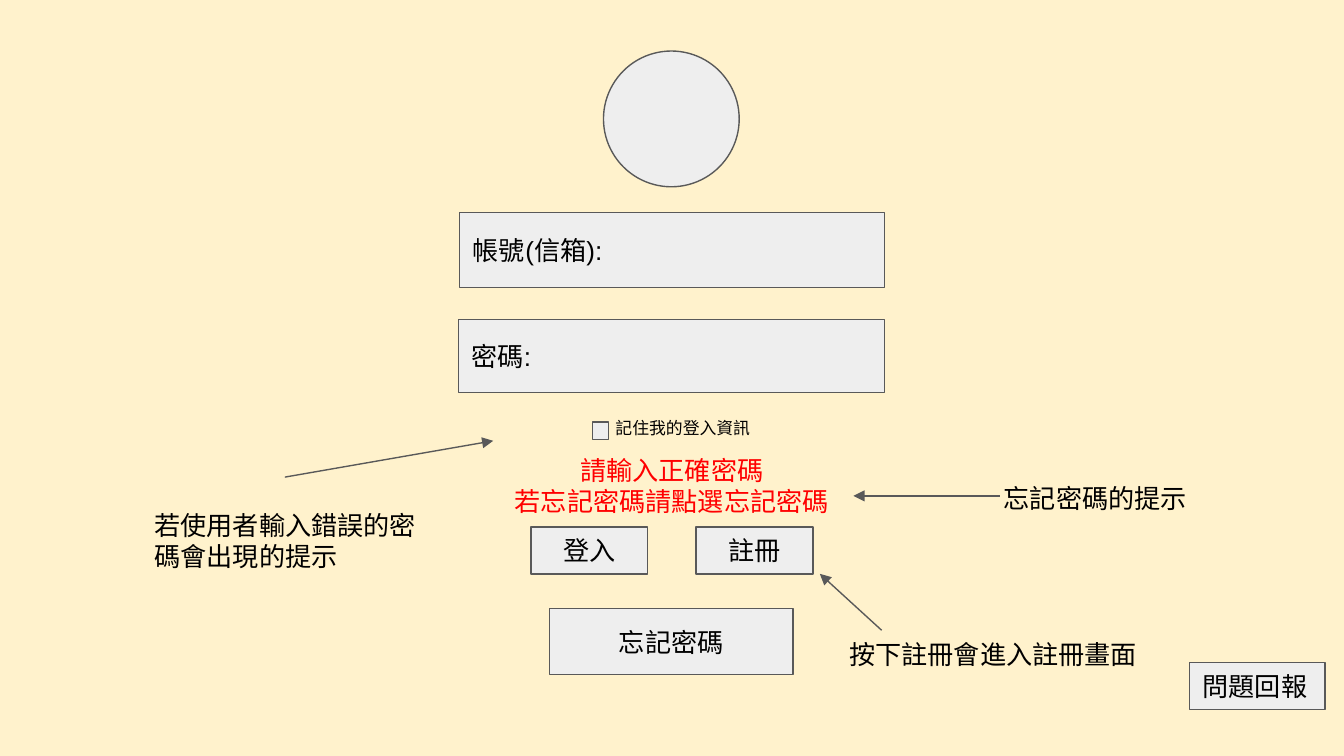
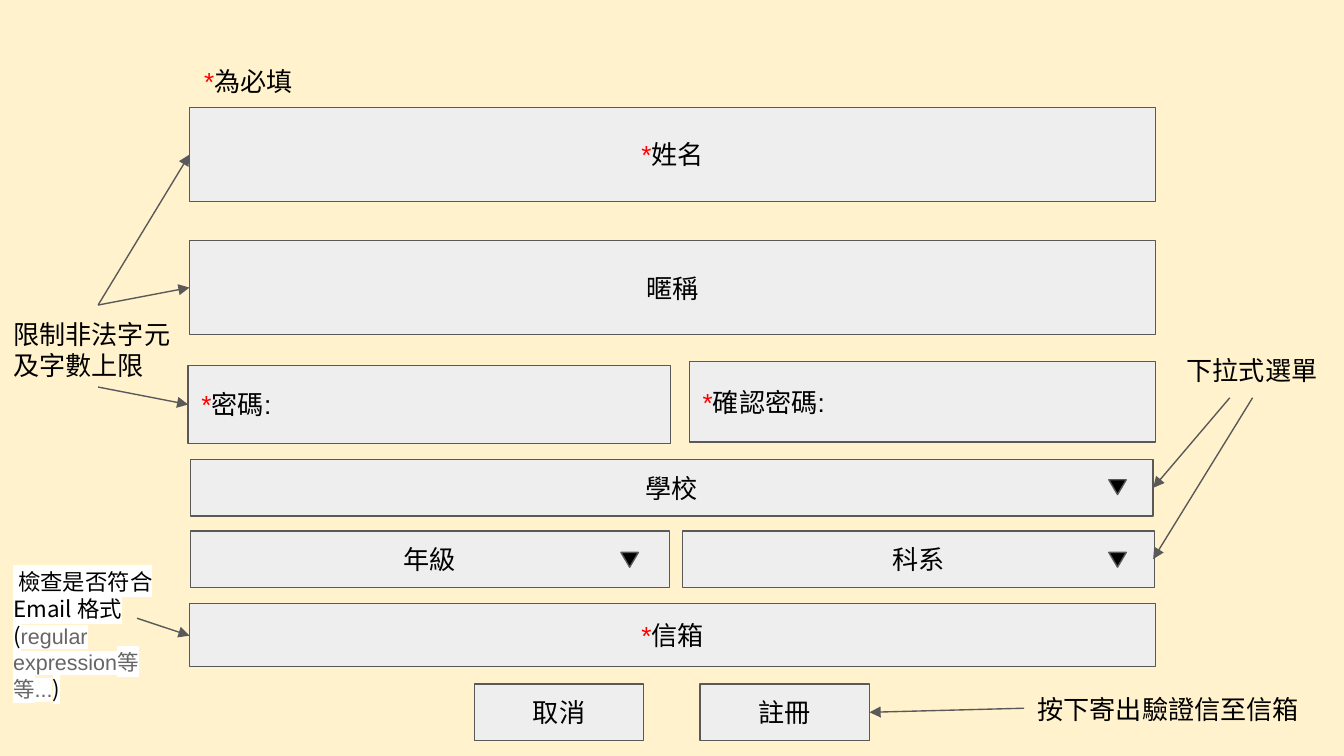
"""Build two wireframe slides: a login screen and a sign-up form."""
from typing import NamedTuple

from lxml.etree import SubElement
from pptx import Presentation
from pptx.dml.color import RGBColor
from pptx.enum.shapes import MSO_CONNECTOR as Link, MSO_SHAPE as Kind
from pptx.enum.text import MSO_ANCHOR as Anchor, PP_ALIGN as Align
from pptx.oxml.ns import qn
from pptx.util import Inches, Pt

CREAM = RGBColor(0xFF, 0xF2, 0xCC)
PALE = RGBColor(0xEE, 0xEE, 0xEE)
GREY = RGBColor(0x59, 0x59, 0x59)
MID = RGBColor(0x66, 0x66, 0x66)
BLACK = RGBColor(0, 0, 0)
RED = RGBColor(0xFF, 0, 0)
WHITE = RGBColor(0xFF, 0xFF, 0xFF)
FACE = "Arial"
CJK = "Noto Sans CJK TC"
THIN = Pt(0.75)
PAD = Inches(0.1)
WIDE = Inches(10)
HIGH = WIDE * 9 // 16


class Box(NamedTuple):
    """A field, button or other filled shape."""
    left: float
    top: float
    width: float
    height: float
    text: str = ""
    align: Align = Align.CENTER
    kind: Kind = Kind.RECTANGLE
    fill: RGBColor = PALE
    turn: float = 0


class Note(NamedTuple):
    """A plain remark beside the form."""
    left: float
    top: float
    width: float
    height: float
    text: str
    align: Align = Align.LEFT
    color: RGBColor = BLACK
    size: float = 14


class Arrow(NamedTuple):
    """A line with its head at the second point."""
    x1: float
    y1: float
    x2: float
    y2: float


class Span(NamedTuple):
    """A marked piece of text with its own font."""
    text: str
    face: str = CJK
    size: float = 12
    color: RGBColor = BLACK


class Memo(NamedTuple):
    """A remark with a white highlight."""
    left: float
    top: float
    width: float
    height: float
    lines: list[list[Span]]


def set_frame(frame) -> None:
    """Wrap the text and set equal margins."""
    frame.word_wrap = True
    frame.margin_left = frame.margin_right = PAD
    frame.margin_top = frame.margin_bottom = PAD


def get_para(frame, index: int):
    """Return the first paragraph or a new one."""
    return frame.add_paragraph() if index else frame.paragraphs[0]


def write(frame, text: str, align: Align, size: float = 14,
          color: RGBColor = BLACK) -> None:
    """Fill a frame, with a leading star in red."""
    set_frame(frame)
    for index, line in enumerate(text.split("\n")):
        para = get_para(frame, index)
        para.alignment = align
        para.font.name, para.font.size = FACE, Pt(size)
        para.font.color.rgb = color
        if line.startswith("*"):
            star = para.add_run()
            star.text = "*"
            star.font.color.rgb = RED
            line = line[1:]
        para.add_run().text = line


def add_box(slide, box: Box) -> None:
    """Draw a filled shape with its label."""
    shape = slide.shapes.add_shape(box.kind, *map(Inches, box[:4]))
    shape.shadow.inherit = False
    shape.rotation = box.turn
    shape.fill.solid()
    shape.fill.fore_color.rgb = box.fill
    shape.line.color.rgb = GREY
    shape.line.width = THIN
    if box.text:
        shape.text_frame.vertical_anchor = Anchor.MIDDLE
        write(shape.text_frame, box.text, box.align)


def add_note(slide, note: Note) -> None:
    """Place a text box."""
    shape = slide.shapes.add_textbox(*map(Inches, note[:4]))
    write(shape.text_frame, note.text, note.align, note.size, note.color)


def add_arrow(slide, arrow: Arrow) -> None:
    """Draw a line with a triangle head."""
    line = slide.shapes.add_connector(Link.STRAIGHT, *map(Inches, arrow))
    line.line.color.rgb = GREY
    line.line.width = THIN
    props = line.element.spPr
    SubElement(props.find(qn("a:ln")), qn("a:tailEnd"), type="triangle")
    SubElement(props, qn("a:effectLst"))


def add_memo(slide, memo: Memo) -> None:
    """Place a text box whose text has a white highlight."""
    frame = slide.shapes.add_textbox(*map(Inches, memo[:4])).text_frame
    set_frame(frame)
    for index, spans in enumerate(memo.lines):
        para = get_para(frame, index)
        for span in spans:
            run = para.add_run()
            run.text = span.text
            run.font.name, run.font.size = span.face, Pt(span.size)
            run.font.color.rgb = span.color
            props = run._r.get_or_add_rPr()
            mark = SubElement(props, qn("a:highlight"))
            SubElement(mark, qn("a:srgbClr"), val=str(WHITE))
            props.find(qn("a:solidFill")).addnext(mark)


def caret(left: float, top: float) -> Box:
    """Return the sign of a drop-down field."""
    return Box(left, top, 0.13, 0.11, kind=Kind.ISOSCELES_TRIANGLE,
               fill=BLACK, turn=180)


DRAW = {Box: add_box, Note: add_note, Arrow: add_arrow, Memo: add_memo}

LOGIN = [
    Box(4.49, 0.38, 1.01, 1.01, kind=Kind.OVAL),
    Box(3.42, 1.58, 3.16, 0.56, "帳號(信箱):", Align.LEFT),
    Box(3.41, 2.38, 3.17, 0.54, "密碼:", Align.LEFT),
    Box(3.95, 3.92, 0.87, 0.35, "登入"),
    Box(4.09, 4.53, 1.81, 0.49, "忘記密碼"),
    Box(5.18, 3.92, 0.87, 0.35, "註冊"),
    Box(8.85, 4.93, 1.01, 0.35, "問題回報", Align.LEFT),
    Note(3.7, 3.28, 2.6, 0.29, "請輸入正確密碼\n若忘記密碼請點選忘記密碼",
         Align.CENTER, RED),
    Arrow(2.12, 3.55, 3.67, 3.28),
    Note(1.05, 3.69, 2.24, 0.58, "若使用者輸入錯誤的密碼會出現的提示"),
    Arrow(7.44, 3.69, 6.35, 3.69),
    Note(7.37, 3.49, 1.69, 0.49, "忘記密碼的提示"),
    Arrow(6.56, 4.69, 6.1, 4.27),
    Note(6.22, 4.65, 2.44, 0.43, "按下註冊會進入註冊畫面"),
    Note(3.95, 3.03, 2.26, 0.35, "記住我的登入資訊", Align.CENTER, size=9),
    Box(4.41, 3.14, 0.12, 0.13),
]

SIGNUP = [
    Box(1.41, 0.8, 7.19, 0.7, "*姓名"),
    Box(1.41, 1.79, 7.19, 0.7, "暱稱"),
    Box(1.42, 3.95, 3.56, 0.42, "年級"),
    Box(1.41, 4.49, 7.19, 0.47, "*信箱"),
    Box(1.42, 3.42, 7.16, 0.42, "學校"),
    Box(5.21, 5.09, 1.26, 0.42, "註冊"),
    Box(5.08, 3.95, 3.51, 0.42, "科系"),
    Box(1.4, 2.72, 3.59, 0.58, "*密碼:", Align.LEFT),
    Box(5.13, 2.69, 3.47, 0.6, "*確認密碼:", Align.LEFT),
    Arrow(0.73, 2.27, 1.41, 1.15),
    Note(0, 2.27, 1.46, 0.6, "限制非法字元及字數上限"),
    Arrow(0.73, 2.27, 1.41, 2.14),
    Arrow(9.15, 2.96, 8.58, 3.63),
    Note(8.73, 2.54, 1.18, 0.42, "下拉式選單"),
    Arrow(9.32, 2.96, 8.58, 4.16),
    Arrow(1.02, 4.6, 1.41, 4.73),
    Memo(0, 4.13, 1.26, 0.6, [
        [Span(" 檢查是否符合 Email 格式")],
        [Span("("), Span("regular expression等等...", FACE, 11.5, MID),
         Span(")")],
    ]),
    Arrow(0.73, 2.88, 1.4, 3.01),
    Arrow(7.62, 5.27, 6.47, 5.3),
    Note(7.62, 5.06, 2.23, 0.42, "按下寄出驗證信至信箱"),
    Note(1.42, 0.39, 4.01, 0.26, "*為必填"),
    caret(8.25, 4.11),
    caret(4.62, 4.11),
    caret(8.25, 3.57),
    Box(3.53, 5.09, 1.26, 0.42, "取消"),
]


def add_page(deck, items: list) -> None:
    """Add a cream slide and draw its items."""
    slide = deck.slides.add_slide(deck.slide_layouts[6])
    slide.background.fill.solid()
    slide.background.fill.fore_color.rgb = CREAM
    for item in items:
        DRAW[type(item)](slide, item)


def main() -> None:
    """Build and save the deck."""
    deck = Presentation()
    deck.slide_width, deck.slide_height = WIDE, HIGH
    for items in (LOGIN, SIGNUP):
        add_page(deck, items)
    deck.save("out.pptx")


if __name__ == "__main__":
    main()
